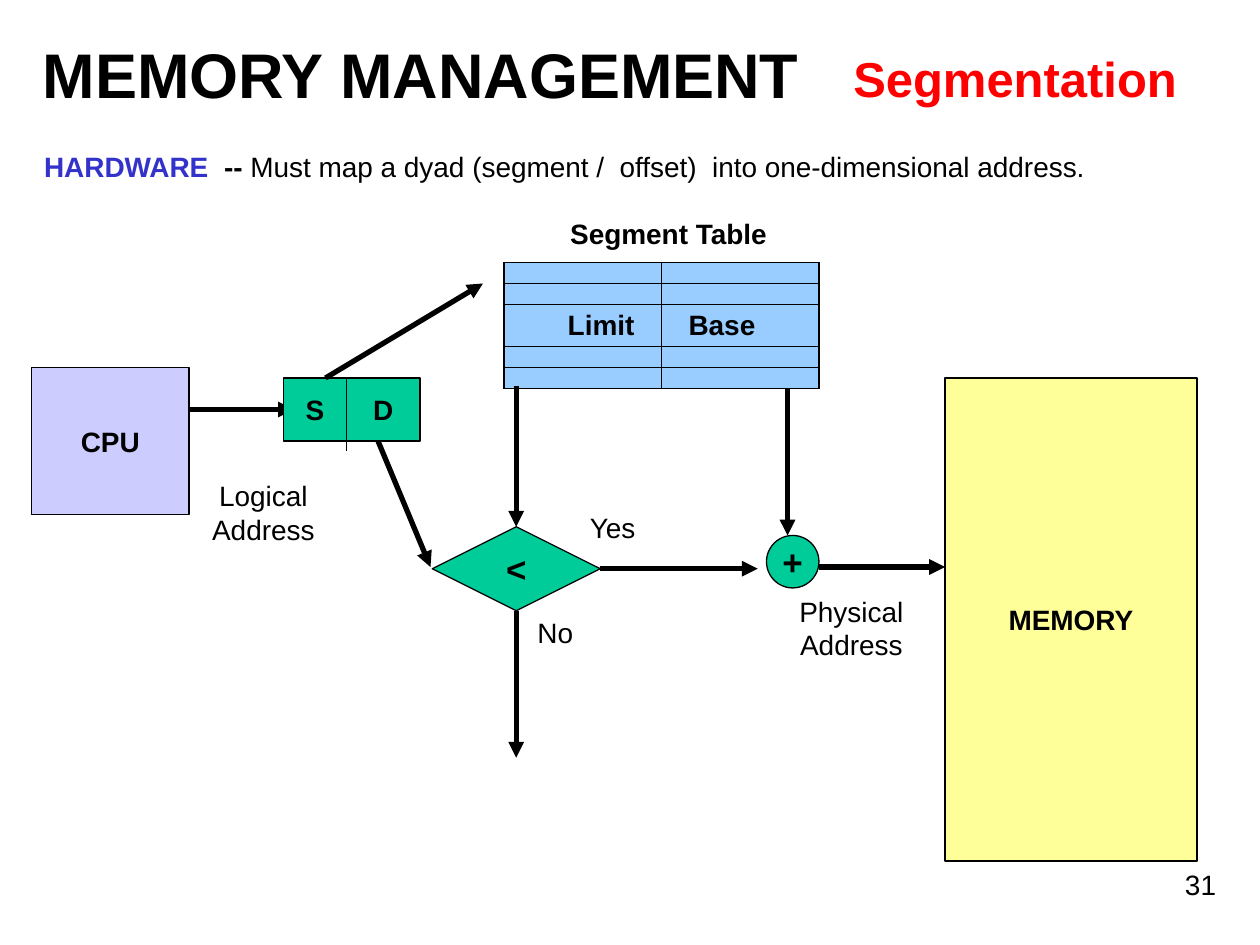
import pptx
import pptx.dml.color
import pptx.enum.shapes
import pptx.enum.text
import pptx.oxml
import pptx.oxml.ns
import pptx.util
from lxml import etree

Pt = pptx.util.Pt
RGBColor = pptx.dml.color.RGBColor
SHAPE = pptx.enum.shapes.MSO_SHAPE
ALIGN = pptx.enum.text.PP_ALIGN
ANCHOR = pptx.enum.text.MSO_ANCHOR
FIT = pptx.enum.text.MSO_AUTO_SIZE
qn = pptx.oxml.ns.qn

BLACK = RGBColor(0x00, 0x00, 0x00)
RED = RGBColor(0xFF, 0x00, 0x00)
INDIGO = RGBColor(0x33, 0x33, 0xCC)
LAVENDER = RGBColor(0xCC, 0xCC, 0xFF)
YELLOW = RGBColor(0xFF, 0xFF, 0x99)
SKY = RGBColor(0x99, 0xCC, 0xFF)
GREEN = RGBColor(0x00, 0xCC, 0x99)

FONT = "Arial"
THIN = 0.75
THICK = 3


def add_run(paragraph, text, size=16, color=BLACK, bold=False):
    run = paragraph.add_run()
    run.text = text
    run.font.name = FONT
    run.font.size = Pt(size)
    run.font.bold = bold
    run.font.color.rgb = color


def place(placeholder, left, top, width, height):
    placeholder.left, placeholder.top = Pt(left), Pt(top)
    placeholder.width, placeholder.height = Pt(width), Pt(height)
    placeholder.text_frame.auto_size = FIT.NONE


def fill_heading(slide):
    title = slide.shapes.title
    place(title, 12.5, 12, 456, 60)
    title.text_frame.vertical_anchor = ANCHOR.MIDDLE
    heading = title.text_frame.paragraphs[0]
    heading.alignment = ALIGN.CENTER
    add_run(heading, "MEMORY MANAGEMENT", 36, bold=True)


def fill_body(slide):
    body = slide.placeholders[1]
    place(body, 18, 84, 678, 36)
    statement = body.text_frame.paragraphs[0]
    properties = statement._p.get_or_add_pPr()
    properties.set("marL", "0")
    properties.set("indent", "0")
    etree.SubElement(properties, qn("a:buNone"))
    statement.alignment = ALIGN.JUSTIFY
    statement.line_spacing = 0.9
    statement.space_before = Pt(0)
    add_run(statement, "HARDWARE", color=INDIGO, bold=True)
    add_run(statement, "  -- ", bold=True)
    add_run(statement, "Must map a dyad (segment /  offset)  into one-dimensional address. ")


def add_label(slide, lines, left, top, width, height, align=ALIGN.CENTER, **style):
    label = slide.shapes.add_textbox(Pt(left), Pt(top), Pt(width), Pt(height))
    frame = label.text_frame
    frame.word_wrap = False
    for index, line in enumerate(lines):
        paragraph = frame.add_paragraph() if index else frame.paragraphs[0]
        paragraph.alignment = align
        add_run(paragraph, line, **style)


def add_block(slide, kind, text, left, top, width, height, color, size=16):
    block = slide.shapes.add_shape(kind, Pt(left), Pt(top), Pt(width), Pt(height))
    block.shadow.inherit = False
    block.fill.solid()
    block.fill.fore_color.rgb = color
    block.line.color.rgb = BLACK
    block.line.width = Pt(THIN)
    frame = block.text_frame
    frame.word_wrap = False
    frame.vertical_anchor = ANCHOR.MIDDLE
    frame.paragraphs[0].alignment = ALIGN.CENTER
    add_run(frame.paragraphs[0], text, size, bold=True)


def add_line(slide, start, end, width=THICK, arrow=True):
    line = slide.shapes.add_connector(
        pptx.enum.shapes.MSO_CONNECTOR.STRAIGHT, *map(Pt, start + end))
    line.line.color.rgb = BLACK
    line.line.width = Pt(width)
    if arrow:
        etree.SubElement(line.line._get_or_add_ln(), qn("a:tailEnd"), type="triangle")
    etree.SubElement(line._element.spPr, qn("a:effectLst"))


def style_cell(cell):
    properties = cell._tc.get_or_add_tcPr()
    for side in ("a:lnL", "a:lnR", "a:lnT", "a:lnB"):
        border = etree.SubElement(properties, qn(side), w=str(Pt(THIN)))
        solid = etree.SubElement(border, qn("a:solidFill"))
        etree.SubElement(solid, qn("a:srgbClr"), val=str(BLACK))
    cell.fill.solid()
    cell.fill.fore_color.rgb = SKY
    cell.margin_top = cell.margin_bottom = Pt(0)
    cell.margin_left = cell.margin_right = Pt(15.5)
    cell.vertical_anchor = ANCHOR.MIDDLE


def add_segment_table(slide):
    heights = (12, 12, 24, 12, 12)
    entries = {(2, 0): ("Limit", ALIGN.RIGHT), (2, 1): ("Base", ALIGN.LEFT)}
    table = slide.shapes.add_table(
        len(heights), 2, Pt(288), Pt(150), Pt(180), Pt(sum(heights))).table
    table.first_row = table.horz_banding = False
    for row, height in enumerate(heights):
        table.rows[row].height = Pt(height)
        for column in range(2):
            cell = table.cell(row, column)
            style_cell(cell)
            paragraph = cell.text_frame.paragraphs[0]
            if (row, column) in entries:
                text, paragraph.alignment = entries[row, column]
                add_run(paragraph, text, bold=True)
            else:
                etree.SubElement(paragraph._p, qn("a:endParaRPr"), sz="600")


def add_flow(slide):
    add_line(slide, (108, 234), (168, 234))
    add_block(slide, SHAPE.RECTANGLE, "CPU", 18, 210, 90, 84, LAVENDER)
    add_block(slide, SHAPE.RECTANGLE, "MEMORY", 540, 216, 144, 276, YELLOW)
    add_block(slide, SHAPE.RECTANGLE, "S", 162, 216, 36, 36, GREEN)
    add_block(slide, SHAPE.RECTANGLE, "D", 198, 216, 42, 36, GREEN)
    add_block(slide, SHAPE.OVAL, "+", 438, 306, 30, 30, GREEN, 20)
    add_block(slide, SHAPE.FLOWCHART_DECISION, "<", 247, 301, 96, 48, GREEN, 20)
    add_line(slide, (198, 216), (198, 258), THIN, arrow=False)
    for start, end in (
        ((186, 216), (276, 162)),
        ((216, 252), (246, 324)),
        ((295, 220.5), (295, 301)),
        ((295, 349), (295, 433)),
        ((343, 325), (433, 325)),
        ((450, 222), (450, 306)),
        ((468, 324), (540, 324)),
    ):
        add_line(slide, start, end)


def add_labels(slide):
    add_label(slide, ["Segmentation"], 478, 24, 204, 41, size=28, color=RED, bold=True)
    add_label(slide, ["Segment Table"], 316, 120, 132, 26.5, bold=True)
    add_label(slide, ["Logical", "Address"], 110, 270, 81, 46)
    add_label(slide, ["Physical", "Address"], 446, 336, 81, 46)
    add_label(slide, ["Yes"], 330, 288, 46, 26.5, ALIGN.LEFT)
    add_label(slide, ["No"], 300, 348, 40, 26.5, ALIGN.LEFT)
    add_label(slide, ["31"], 552, 492, 150, 36, ALIGN.RIGHT)


def main():
    deck = pptx.Presentation()
    deck.slide_width, deck.slide_height = Pt(720), Pt(540)
    slide = deck.slides.add_slide(deck.slide_layouts[1])
    fill_heading(slide)
    fill_body(slide)
    add_segment_table(slide)
    add_flow(slide)
    add_labels(slide)
    deck.save("out.pptx")


if __name__ == "__main__":
    main()
